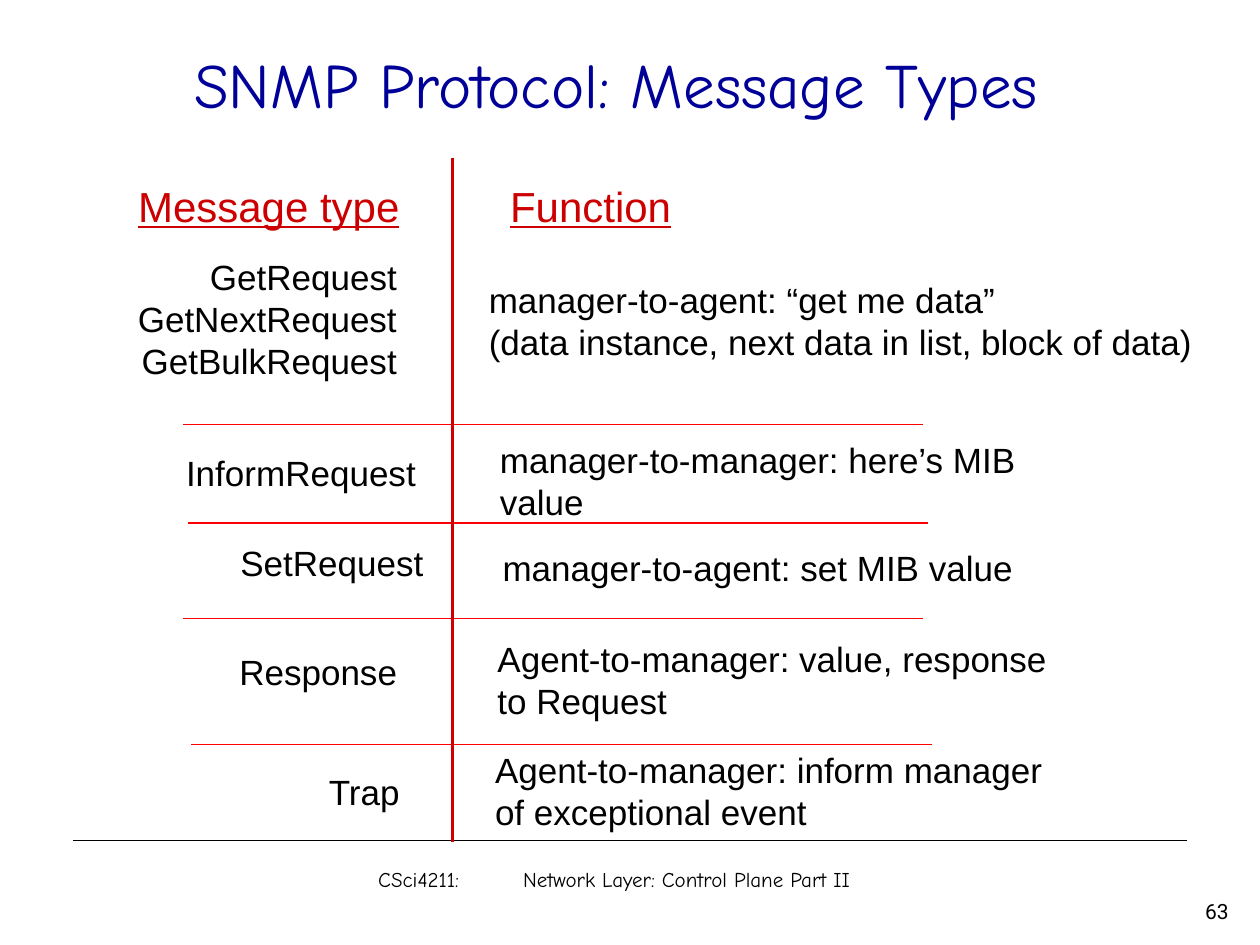
"""Build the slide that lists the SNMP message types and their functions."""
import pptx
import pptx.dml.color
import pptx.enum.text
import pptx.oxml
import pptx.oxml.ns
import pptx.util

Pt = pptx.util.Pt
ALIGN = pptx.enum.text.PP_ALIGN
ANCHOR = pptx.enum.text.MSO_ANCHOR

TITLE = "SNMP Protocol: Message Types"
HEADINGS = [
    ("Message type", (69.8, 99.4, 165.6, 36.7), ALIGN.RIGHT),
    ("Function", (284.4, 99.4, 107.3, 36.7), ALIGN.LEFT),
]
MESSAGES = [
    ("GetRequest\nGetNextRequest\nGetBulkRequest", (70.6, 142.6, 163.4, 79.9),
     "manager-to-agent: “get me data”\n(data instance, next data in list, block of data)",
     (272.2, 155.5, 419, 55.4), False),
    ("InformRequest", (41.8, 254.2, 203, 31.7),
     "manager-to-manager: here’s MIB value", (278.6, 247, 355, 55.4), True),
    ("SetRequest", (46.1, 306, 203, 31.7),
     "manager-to-agent: set MIB value", (280.1, 308.9, 336.2, 31.7), True),
    ("Response", (31, 367.9, 203, 31.7),
     "Agent-to-manager: value, response to Request", (277.2, 360.7, 333.4, 55.4), True),
    ("Trap", (32.4, 437, 203, 31.7),
     "Agent-to-manager: inform manager\nof exceptional event",
     (275.8, 424.1, 377.3, 55.4), True),
]
ROW_RULES = [(104.6, 242.6), (107.3, 298.8), (104.4, 353.5), (109.4, 425.5)]
RULE_LENGTH = 423
DIVIDER_X = 258.5
FOOTER = "CSci4211:\tNetwork Layer: Control Plane Part II"
FOOTER_INDENT, FOOTER_TAB = 30.3, 82.8
PAGE = "63"


def color(hex_value):
    return pptx.dml.color.RGBColor.from_string(hex_value)


def format_text(frame, text, size, font, hex_value, align, underline=None):
    frame.text = text
    for paragraph in frame.paragraphs:
        paragraph.alignment = align
        for run in paragraph.runs:
            run.font.size = Pt(size)
            run.font.name = font
            run.font.color.rgb = color(hex_value)
            run.font.underline = underline


def add_text(slide, text, box, size=20, font="Arial", hex_value="000000",
             align=ALIGN.LEFT, wrap=True, underline=None):
    frame = slide.shapes.add_textbox(*map(Pt, box)).text_frame
    frame.word_wrap = wrap
    format_text(frame, text, size, font, hex_value, align, underline)
    return frame


def add_rule(slide, start, end, hex_value, width):
    rule = slide.shapes.add_connector(1, *map(Pt, start + end))
    rule.line.color.rgb = color(hex_value)
    rule.line.width = Pt(width)
    rule._element.spPr.append(pptx.oxml.parse_xml(
        f"<a:effectLst {pptx.oxml.ns.nsdecls('a')}/>"))


def add_footer(slide):
    frame = add_text(slide, FOOTER, (185.8, 491.8, 329.8, 23.8), 12, "Comic Neue")
    frame.margin_left = Pt(FOOTER_INDENT)
    properties = frame.paragraphs[0]._p.get_or_add_pPr()
    properties.append(pptx.oxml.parse_xml(
        f"<a:tabLst {pptx.oxml.ns.nsdecls('a')}>"
        f'<a:tab pos="{Pt(FOOTER_TAB)}" algn="l"/></a:tabLst>'))


def main():
    deck = pptx.Presentation()
    deck.slide_width, deck.slide_height = Pt(720), Pt(540)
    slide = deck.slides.add_slide(deck.slide_layouts[5])

    add_rule(slide, (41.8, 480.2), (678.2, 480.2), "000000", 0.75)
    title = slide.shapes.title
    title.left, title.top, title.width, title.height = map(Pt, (46.1, 2.9, 612, 90))
    title.text_frame.vertical_anchor = ANCHOR.MIDDLE
    format_text(title.text_frame, TITLE, 36, "Comic Neue", "000099", ALIGN.CENTER)

    for heading, box, align in HEADINGS:
        add_text(slide, heading, box, 24, hex_value="CC0000", align=align,
                 wrap=False, underline=True)
    for message, message_box, function, function_box, wrap in MESSAGES:
        add_text(slide, message, message_box, align=ALIGN.RIGHT, wrap=wrap)
        add_text(slide, function, function_box, wrap=wrap)
    for left, y in ROW_RULES:
        add_rule(slide, (left, y), (left + RULE_LENGTH, y), "FF0000", 1)
    add_rule(slide, (DIVIDER_X, 90), (DIVIDER_X, 481), "CC0000", 2)

    add_text(slide, PAGE, (666, 509.8, 43.2, 21.6), 12, "Roboto", align=ALIGN.RIGHT)
    add_footer(slide)
    deck.save("out.pptx")


if __name__ == "__main__":
    main()
